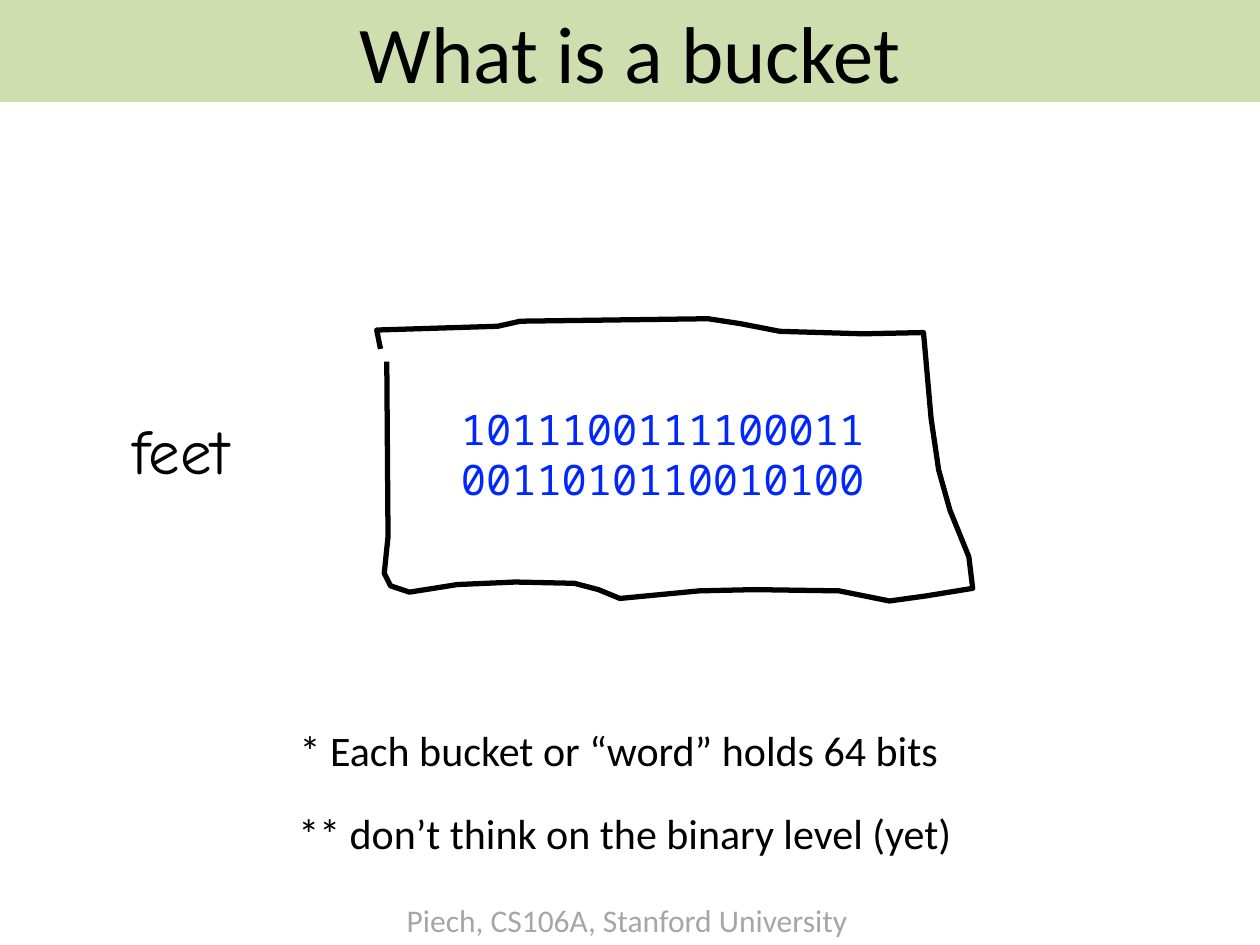
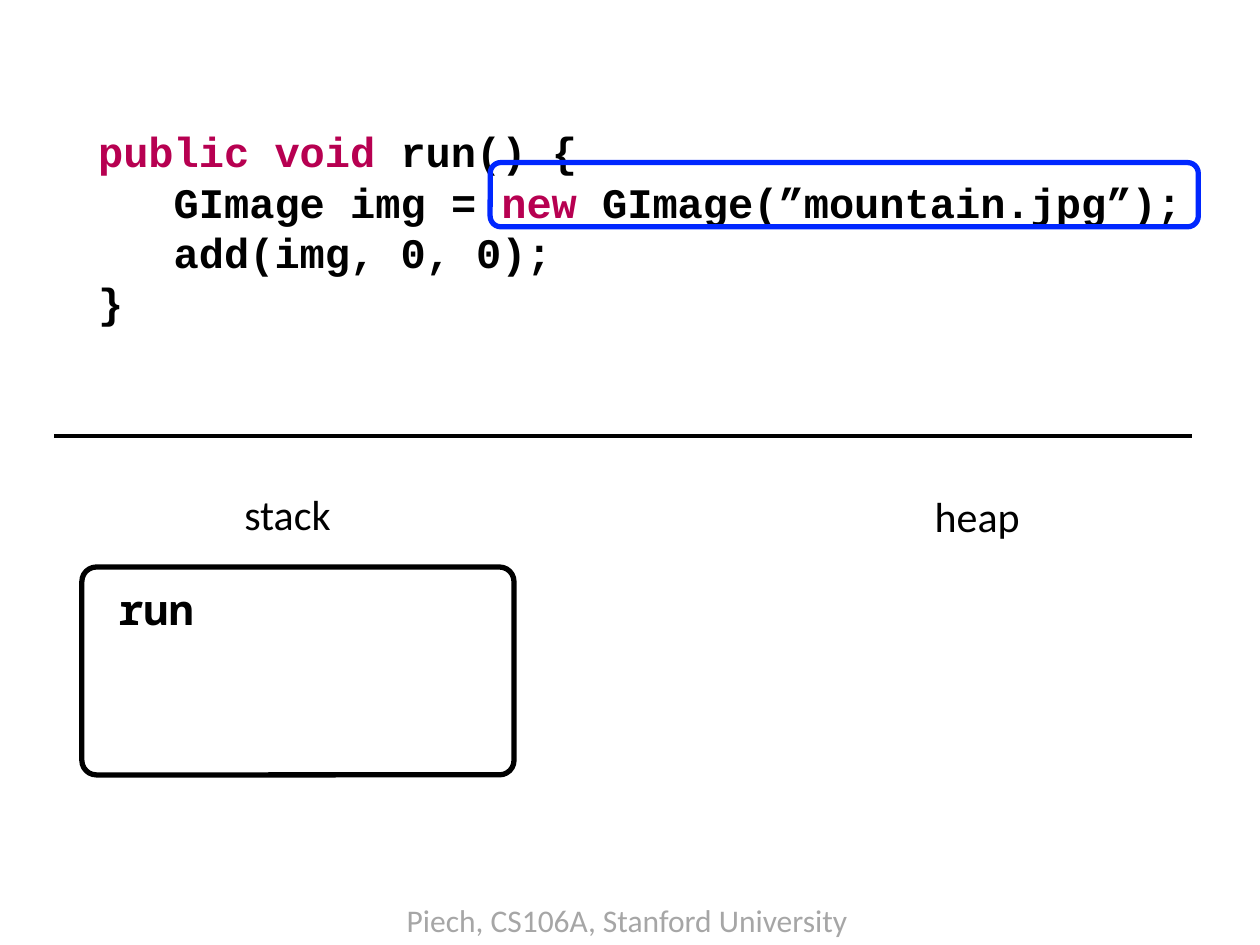
import dataclasses

import lxml.etree
import pptx
import pptx.dml.color
import pptx.enum.shapes
import pptx.enum.text
import pptx.oxml.ns
import pptx.util


@dataclasses.dataclass(frozen=True)
class Theme:
    black: str = "000000"
    band: str = "C3D69B"
    band_alpha: int = 80
    blue: str = "0027FF"
    keyword: str = "B70051"
    grey: str = "A6A6A6"
    sans: str = "Calibri"
    hand: str = "Comic Neue"
    bits: str = "Noto Sans Mono"
    code: str = "Courier New"
    title_size: int = 46
    name_size: int = 36
    text_size: int = 24
    footer_size: int = 18
    code_pitch: float = 28.75
    outline: int = 3
    divider: int = 2


theme = Theme()
rgb = pptx.dml.color.RGBColor.from_string
Pt = pptx.util.Pt
qn = pptx.oxml.ns.qn

deck = pptx.Presentation()
deck.slide_width = pptx.util.Inches(10)
deck.slide_height = pptx.util.Inches(7.5)
COLUMN = deck.slide_width / 100
ROW = deck.slide_height / 75


def grid(left, top, width, height):
    return [round(left * COLUMN), round(top * ROW), round(width * COLUMN), round(height * ROW)]


def add_label(page, lines, area, font=theme.sans, size=theme.text_size, color=theme.black, bold=False):
    box = page.shapes.add_textbox(*grid(*area))
    frame = box.text_frame
    frame.word_wrap = False
    frame.auto_size = pptx.enum.text.MSO_AUTO_SIZE.SHAPE_TO_FIT_TEXT
    frame.text = "\n".join(lines)
    for para in frame.paragraphs:
        para.font.name = font
        para.font.size = Pt(size)
        para.font.bold = bold
        para.font.color.rgb = rgb(color)


bucket_page = deck.slides.add_slide(deck.slide_layouts.get_by_name("Title Only"))
memory_page = deck.slides.add_slide(deck.slide_layouts.get_by_name("Blank"))
for page in deck.slides:
    add_label(page, ["Piech, CS106A, Stanford University"], (31.3, 71, 37.4, 4),
              size=theme.footer_size, color=theme.grey)

title = bucket_page.shapes.title
title.left, title.top, title.width, title.height = grid(0, 0, 100, 8.1)
title.fill.solid()
title.fill.fore_color.rgb = rgb(theme.band)
band_color = title.element.spPr.find(".//" + qn("a:srgbClr"))
lxml.etree.SubElement(band_color, qn("a:alpha"), val=str(theme.band_alpha * 1000))
title.text_frame.text = "What is a bucket"
title.text_frame.auto_size = pptx.enum.text.MSO_AUTO_SIZE.NONE
title.text_frame.vertical_anchor = pptx.enum.text.MSO_ANCHOR.MIDDLE
para = title.text_frame.paragraphs[0]
para.alignment = pptx.enum.text.PP_ALIGN.CENTER
para.font.name = theme.sans
para.font.size = Pt(theme.title_size)
para.font.color.rgb = rgb(theme.black)

add_label(bucket_page, ["feet"], (9.5, 32.2, 11.5, 7.1), theme.hand, theme.name_size)

bucket_outline = [
    (30.7, 28.7), (30.8, 42.6), (30.5, 45.5), (31, 46.5), (32.5, 47),
    (36.3, 46.4), (40.9, 46.2), (45.6, 46.3), (47.5, 46.8), (49.2, 47.5),
    (55.5, 46.9), (59.9, 46.8), (66.6, 46.9), (70.6, 47.7), (73.5, 47.3),
    (77.2, 46.7), (76.9, 44.2), (75.4, 40.5), (74.5, 37.3), (73.9, 33.2),
    (73.3, 26.4), (68.5, 26.5), (61.9, 26.3), (58.8, 25.7), (56.2, 25.3),
    (41.3, 25.5), (39.5, 25.9), (29.9, 26.2), (30.2, 27.7),
]
start, *corners = [(x * COLUMN, y * ROW) for x, y in bucket_outline]
builder = bucket_page.shapes.build_freeform(*start)
builder.add_line_segments(corners, close=False)
bucket = builder.convert_to_shape()

add_label(bucket_page, ["1011100111100011", "0011010110010100"], (35.6, 31.5, 34.3, 9.1),
          theme.bits, color=theme.blue)
add_label(bucket_page, ["* Each bucket or “word” holds 64 bits"], (22.8, 57, 53.1, 5))
add_label(bucket_page, ["** don’t think on the binary level (yet)"], (22.7, 63.6, 54.3, 5))

code_lines = [
    [("public void ", theme.keyword), ("run() {", theme.black)],
    [("   GImage img = ", theme.black), ("new ", theme.keyword),
     ("GImage(”mountain.jpg”);", theme.black)],
    [("   add(img, 0, 0);", theme.black)],
    [("}", theme.black)],
]
code_box = memory_page.shapes.add_textbox(*grid(6.8, 9, 93.2, 46.8))
code_frame = code_box.text_frame
code_frame.word_wrap = True
code_frame.margin_top = round(ROW)
for number, spans in enumerate(code_lines):
    para = code_frame.add_paragraph() if number else code_frame.paragraphs[0]
    para.line_spacing = Pt(theme.code_pitch)
    para.font.name = theme.code
    para.font.size = Pt(theme.text_size)
    para.font.bold = True
    for words, color in spans:
        span = para.add_run()
        span.text = words
        span.font.color.rgb = rgb(color)

add_label(memory_page, ["run"], (8.4, 45.8, 8.1, 5), theme.bits, bold=True)
for heading, left, top in [("heap", 73.2, 38.4), ("stack", 18.4, 38.3)]:
    add_label(memory_page, [heading], (left, top, 8.9, 5))

rounded = pptx.enum.shapes.MSO_SHAPE.ROUNDED_RECTANGLE
run_frame = memory_page.shapes.add_shape(rounded, *grid(6.5, 45, 34.3, 16.5))
run_frame.adjustments[0] = 0.07
call_highlight = memory_page.shapes.add_shape(rounded, *grid(38.9, 12.9, 56.2, 5.1))
for shape, color in [(bucket, theme.black), (run_frame, theme.black), (call_highlight, theme.blue)]:
    shape.shadow.inherit = False
    shape.fill.background()
    shape.line.color.rgb = rgb(color)
    shape.line.width = Pt(theme.outline)

divider = memory_page.shapes.add_connector(
    pptx.enum.shapes.MSO_CONNECTOR.STRAIGHT, *grid(4.3, 34.6, 94.6, 34.6))
divider.line.color.rgb = rgb(theme.black)
divider.line.width = Pt(theme.divider)
lxml.etree.SubElement(divider.element.spPr, qn("a:effectLst"))

deck.save("out.pptx")
